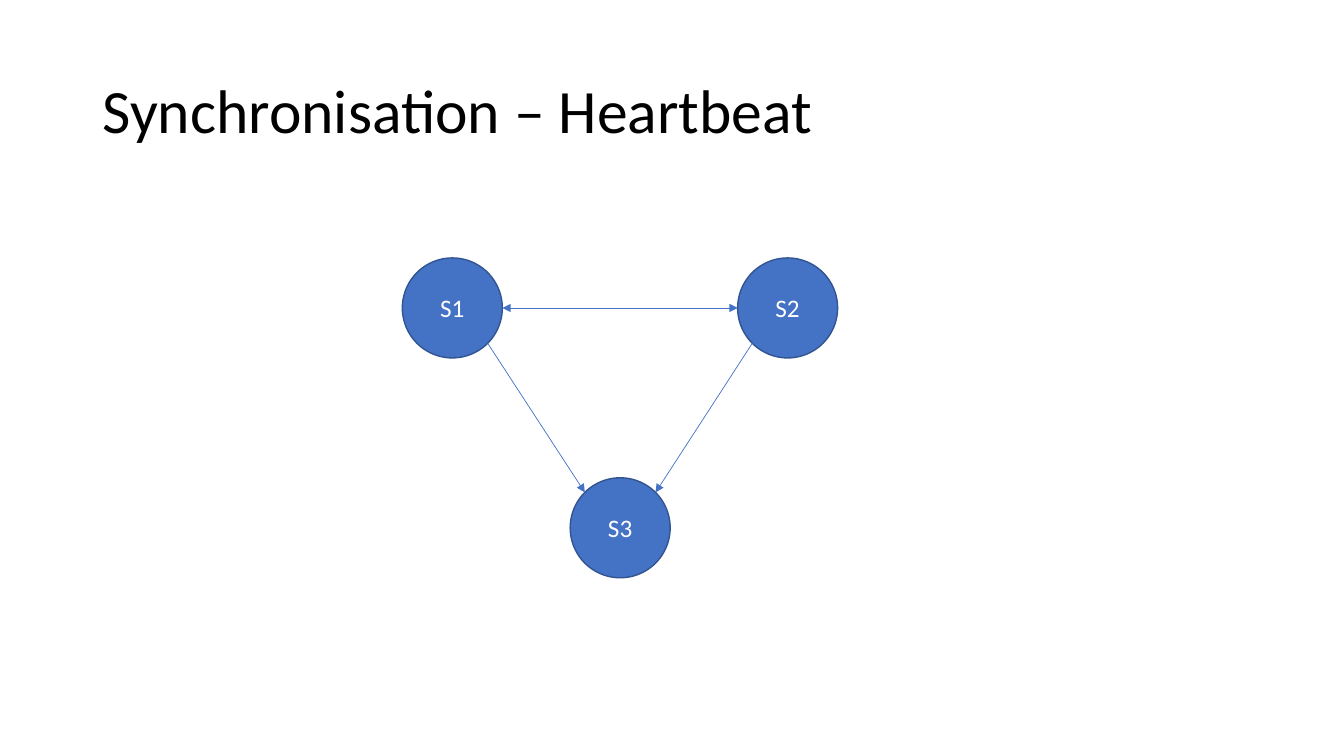
from math import cos, radians, sin

from lxml.etree import SubElement
from pptx import Presentation
from pptx.dml.color import RGBColor
from pptx.enum.shapes import MSO_CONNECTOR as CONNECTOR, MSO_SHAPE as SHAPE
from pptx.enum.text import MSO_ANCHOR as ANCHOR, PP_ALIGN as ALIGN
from pptx.oxml.ns import qn
from pptx.util import Cm, Pt

DIAMETER = 2.52
SERVERS = {"S3": (15.63, 13.3), "S2": (19.85, 7.76), "S1": (11.4, 7.76)}
HEARTBEATS = [
    ("S1", 45, "S3", 225, ["tailEnd"]),
    ("S2", 135, "S3", 315, ["tailEnd"]),
    ("S1", 0, "S2", 180, ["headEnd", "tailEnd"]),
]
TITLE_FONT = {"name": "Calibri", "size": Pt(44), "bold": False}
SERVER_FONT = {"name": "Calibri", "size": Pt(18)}


def paint(color_format, hex_color):
    color_format.rgb = RGBColor.from_string(hex_color)


def set_all(target, values):
    for attribute, value in values.items():
        setattr(target, attribute, value)


def write(frame, text, font, hex_color, align):
    set_all(frame, {"word_wrap": True, "vertical_anchor": ANCHOR.MIDDLE})
    paragraph = frame.paragraphs[0]
    paragraph.alignment = align
    run = paragraph.add_run()
    run.text = text
    set_all(run.font, font)
    paint(run.font.color, hex_color)
    return paragraph


def style_line(line, hex_color, points):
    paint(line.color, hex_color)
    line.width = Pt(points)


def add_title(slide, text):
    title = slide.shapes.title
    set_all(title, {"left": Cm(2.33), "top": Cm(1.01), "width": Cm(29.21), "height": Cm(3.68)})
    paragraph = write(title.text_frame, text, TITLE_FONT, "000000", ALIGN.LEFT)
    paragraph.line_spacing = 0.9


def add_server(group, name, center):
    left, top = (Cm(middle - DIAMETER / 2) for middle in center)
    server = group.shapes.add_shape(SHAPE.OVAL, left, top, Cm(DIAMETER), Cm(DIAMETER))
    server.shadow.inherit = False
    server.fill.solid()
    paint(server.fill.fore_color, "4472C4")
    style_line(server.line, "325491", 1)
    write(server.text_frame, name, SERVER_FONT, "FFFFFF", ALIGN.CENTER)


def rim_point(name, angle):
    x, y = SERVERS[name]
    radius = DIAMETER / 2
    return Cm(x + radius * cos(radians(angle))), Cm(y + radius * sin(radians(angle)))


def add_heartbeat(slide, source, source_angle, target, target_angle, arrowheads):
    heartbeat = slide.shapes.add_connector(
        CONNECTOR.STRAIGHT, *rim_point(source, source_angle), *rim_point(target, target_angle)
    )
    style_line(heartbeat.line, "4472C4", 0.5)
    for end in arrowheads:
        SubElement(heartbeat.line._get_or_add_ln(), qn(f"a:{end}"), type="triangle")
    SubElement(heartbeat._element.spPr, qn("a:effectLst"))


def main():
    deck = Presentation()
    set_all(deck, {"slide_width": Cm(33.87), "slide_height": Cm(19.05)})
    slide = deck.slides.add_slide(deck.slide_layouts[5])
    add_title(slide, "Synchronisation – Heartbeat")
    servers = slide.shapes.add_group_shape()
    for name, center in SERVERS.items():
        add_server(servers, name, center)
    for heartbeat in HEARTBEATS:
        add_heartbeat(slide, *heartbeat)
    deck.save("out.pptx")


if __name__ == "__main__":
    main()
